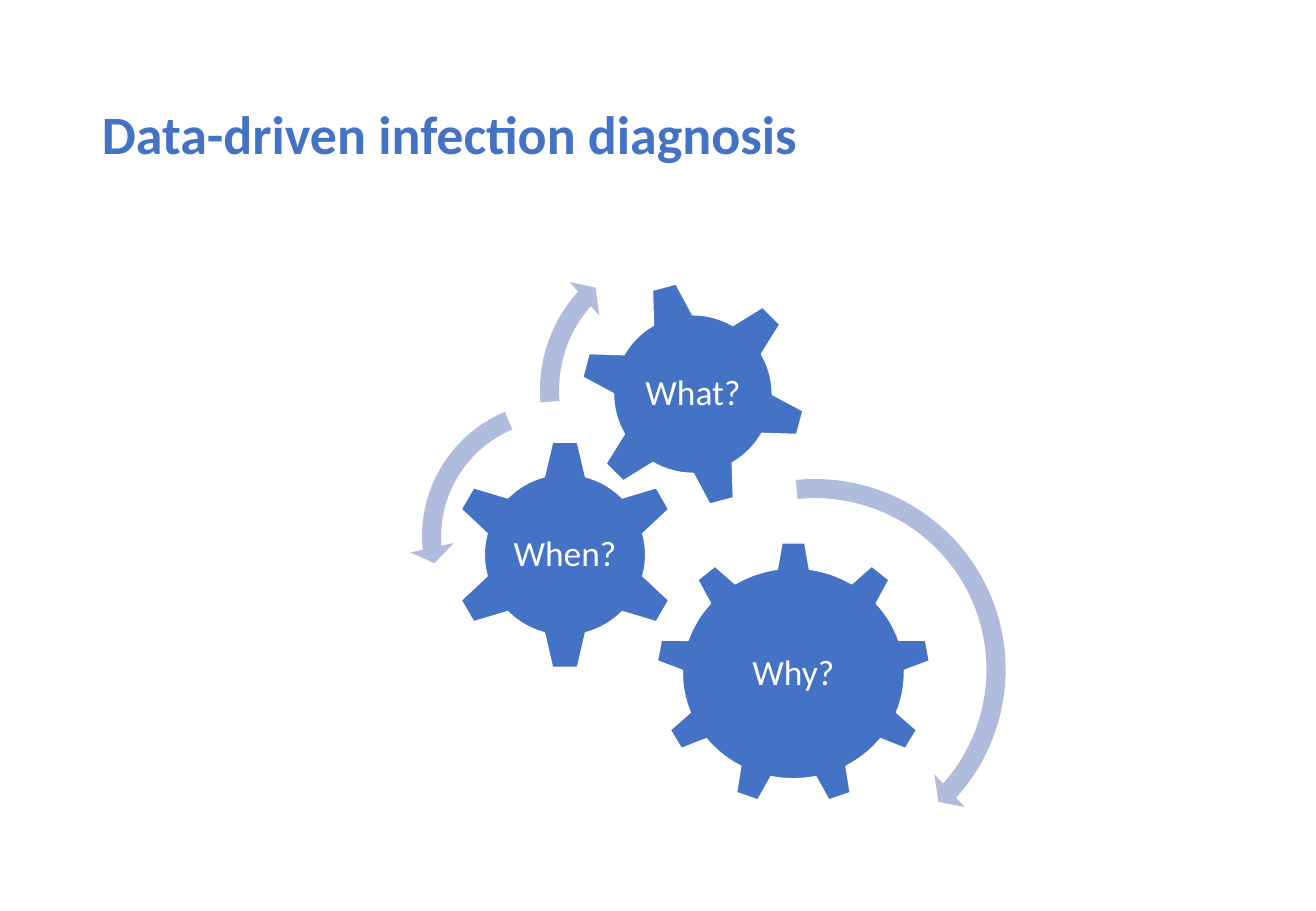
from pptx import Presentation
from pptx import util as u
from pptx.dml.color import RGBColor
from pptx.enum import shapes, text

WIDE, HIGH = 10.83, 7.5
BLUE, PALE, WHITE = "4472C4", "B0BCDE", "FFFFFF"
KIND = shapes.MSO_SHAPE

GEARS = [
    ("Why?", KIND.GEAR_9, 59.8, 67.5, 41.9, 40.2, 0, 0.61, 0.52),
    ("When?", KIND.GEAR_6, 25, 49.4, 35.2, 35.2, 0, 0.5, 0.5),
    ("What?", KIND.GEAR_6, 44.5, 24.9, 34.6, 34.6, 345, 0.56, 0.56),
]
ARROWS = [
    (KIND.CIRCULAR_ARROW, 63.1, 66.9, 62, (0.047, 2.99, 25.2, 158.53, 0.055)),
    (KIND.LEFT_CIRCULAR_ARROW, 23.8, 46.6, 45, (0.065, 4.3, 104.89, 148.38, 0.075)),
    (KIND.CIRCULAR_ARROW, 43.5, 24.3, 48.5, (0.06, 3.94, 133.14, 105.08, 0.07)),
]


def paint(form, code):
    """Set a fill or font colour from a hex string."""
    if hasattr(form, "solid"):
        form.solid()
        form.fore_color.rgb = RGBColor.from_string(code)
    else:
        form.color.rgb = RGBColor.from_string(code)


def place(box, col, row, wide, high):
    """Turn a centre and size on a 100 by 100 grid into lengths on the slide."""
    left, top, width, height = box
    return [u.Inches(n) for n in (
        left + (col - wide / 2) * width / 100,
        top + (row - high / 2) * height / 100,
        wide * width / 100,
        high * height / 100,
    )]


def write(slide, spot, words, size, code, bold=False, align=None, inset=None):
    """Add one line of text, centred vertically in its box."""
    frame = slide.shapes.add_textbox(*spot).text_frame
    frame.word_wrap = True
    frame.vertical_anchor = text.MSO_ANCHOR.MIDDLE
    if inset is not None:
        frame.margin_left = frame.margin_right = u.Inches(inset)
        frame.margin_top = frame.margin_bottom = u.Inches(inset)
    para = frame.paragraphs[0]
    para.line_spacing = 0.9
    para.alignment = align
    run = para.add_run()
    run.text = words
    run.font.name = "Calibri"
    run.font.size = u.Pt(size)
    run.font.bold = bold
    paint(run.font, code)


def draw(slide, kind, spot, code):
    """Add a plain filled shape with no shadow."""
    shape = slide.shapes.add_shape(kind, *spot)
    shape.shadow.inherit = False
    paint(shape.fill, code)
    shape.line.fill.background()
    return shape


def add_title(slide, box):
    """Place the slide title across its box."""
    write(slide, place(box, 50, 50, 100, 100),
          "Data-driven infection diagnosis", 32, BLUE, bold=True)


def add_gears(slide, box):
    """Place the labelled gears and the arrows that turn around them."""
    for label, kind, col, row, wide, high, turn, across, down in GEARS:
        gear = draw(slide, kind, place(box, col, row, wide, high), BLUE)
        gear.rotation = turn
        paint(gear.line.fill, WHITE)
        gear.line.width = u.Pt(1)
        write(slide, place(box, col, row, wide * across, high * down), label, 21,
              WHITE, align=text.PP_ALIGN.CENTER, inset=0.03)
    for kind, col, row, size, bends in ARROWS:
        arrow = draw(slide, kind, place(box, col, row, size, size), PALE)
        for index, bend in enumerate(bends):
            arrow.adjustments[index] = bend


def main():
    """Build the slide and save it."""
    deck = Presentation()
    deck.slide_width, deck.slide_height = u.Inches(WIDE), u.Inches(HIGH)
    slide = deck.slides.add_slide(deck.slide_layouts[6])
    add_gears(slide, (3.3, 1.9, 0.72 * HIGH, 0.72 * HIGH))
    add_title(slide, (0.74, 0.4, 9.34, 1.45))
    deck.save("out.pptx")


if __name__ == "__main__":
    main()
